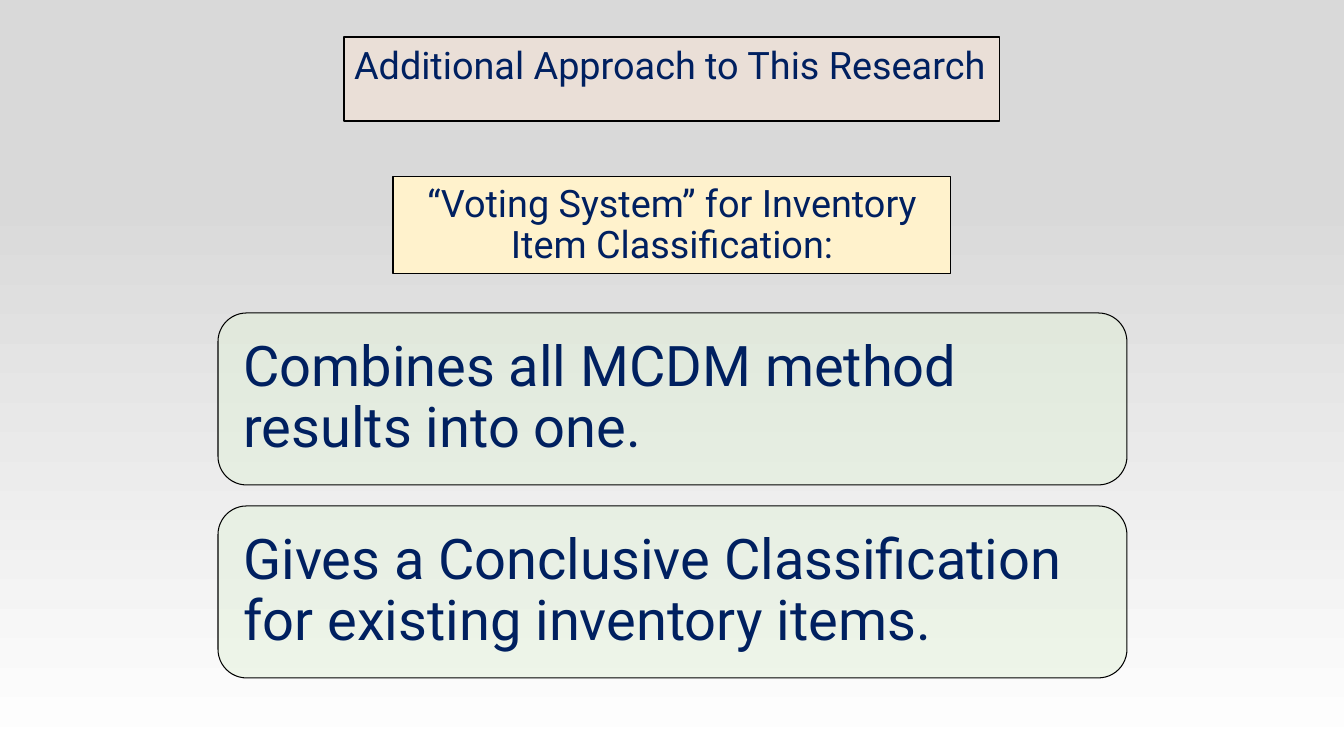
from lxml import etree
from pptx import Presentation
from pptx import util as u
from pptx.dml.color import RGBColor
from pptx.enum import shapes, text
from pptx.oxml.ns import qn

SLIDE_W, SLIDE_H = 1344, 756
SCALE = 12192000 / SLIDE_W
FONT = "Roboto"
NAVY = RGBColor(0x00, 0x20, 0x60)
BLACK = RGBColor(0x00, 0x00, 0x00)
WHITE = RGBColor(0xFF, 0xFF, 0xFF)
GREY = RGBColor(0xD9, 0xD9, 0xD9)
PEACH = RGBColor(0xFB, 0xE5, 0xD6)
CREAM = RGBColor(0xFF, 0xF2, 0xCC)
GREEN = RGBColor(0xE2, 0xF0, 0xD9)
POINTS = [
    "Combines all MCDM method results into one.",
    "Gives a Conclusive Classification for existing inventory items.",
]


def px(n):
    """Turn pixels into EMU."""
    return u.Emu(round(n * SCALE))


def paint(sp, color, opacity=100):
    """Fill a shape and give it a thin black outline."""
    sp.fill.solid()
    sp.fill.fore_color.rgb = color
    if opacity < 100:
        clr = sp.fill._xPr.find(qn("a:solidFill"))[0]
        etree.SubElement(clr, qn("a:alpha"), val=str(opacity * 1000))
    sp.line.color.rgb = BLACK
    sp.line.width = u.Pt(0.75)


def write(sp, words, size, align, anchor, inset=None, spacing=None):
    """Put one formatted paragraph into a shape."""
    tf = sp.text_frame
    tf.text = words
    tf.word_wrap = True
    tf.vertical_anchor = anchor
    if inset is not None:
        tf.margin_left = tf.margin_right = px(inset)
        tf.margin_top = tf.margin_bottom = px(inset)
    p = tf.paragraphs[0]
    p.alignment = align
    p.line_spacing = spacing
    font = p.runs[0].font
    font.name, font.size, font.color.rgb = FONT, u.Pt(size), NAVY


def add_background(s):
    """Fade the slide from white at the bottom to grey."""
    fill = s.background.fill
    fill.gradient()
    fill.gradient_angle = 90
    for stop, position, color in zip(fill.gradient_stops, (0, 0.74), (WHITE, GREY)):
        stop.position = position
        stop.color.rgb = color


def add_title(s, x, y, w, h):
    """Place the slide title in its outlined box."""
    sp = s.shapes.title
    sp.left, sp.top, sp.width, sp.height = map(px, (x, y, w, h))
    paint(sp, PEACH, 50)
    write(sp, "Additional Approach to This Research", 27,
          text.PP_ALIGN.LEFT, text.MSO_ANCHOR.TOP)
    sp.text_frame.auto_size = text.MSO_AUTO_SIZE.SHAPE_TO_FIT_TEXT


def add_heading(s, x, y, w, h):
    """Place the heading above the cards."""
    sp = s.shapes.add_shape(shapes.MSO_SHAPE.RECTANGLE, *map(px, (x, y, w, h)))
    sp.shadow.inherit = False
    paint(sp, CREAM)
    write(sp, "“Voting System” for Inventory Item Classification:", 27,
          text.PP_ALIGN.CENTER, text.MSO_ANCHOR.MIDDLE, 13, 0.9)


def add_cards(s, x, y, w, h, gap):
    """Stack one rounded card per point in the given box."""
    card_h = (h - gap * (len(POINTS) - 1)) / len(POINTS)
    for i, point in enumerate(POINTS):
        top = y + i * (card_h + gap)
        sp = s.shapes.add_shape(shapes.MSO_SHAPE.ROUNDED_RECTANGLE,
                                *map(px, (x, top, w, card_h)))
        sp.shadow.inherit = False
        paint(sp, GREEN, 50)
        write(sp, point, 40, text.PP_ALIGN.LEFT, text.MSO_ANCHOR.MIDDLE, 17, 0.9)


def main():
    """Build and save the slide."""
    prs = Presentation()
    prs.slide_width, prs.slide_height = px(SLIDE_W), px(SLIDE_H)
    s = prs.slides.add_slide(prs.slide_layouts[5])
    add_background(s)
    add_title(s, 344, 37, 656, 56)
    add_heading(s, 393, 177, 558, 97)
    add_cards(s, 218, 313, 909, 365, 21)
    prs.save("out.pptx")


if __name__ == "__main__":
    main()
